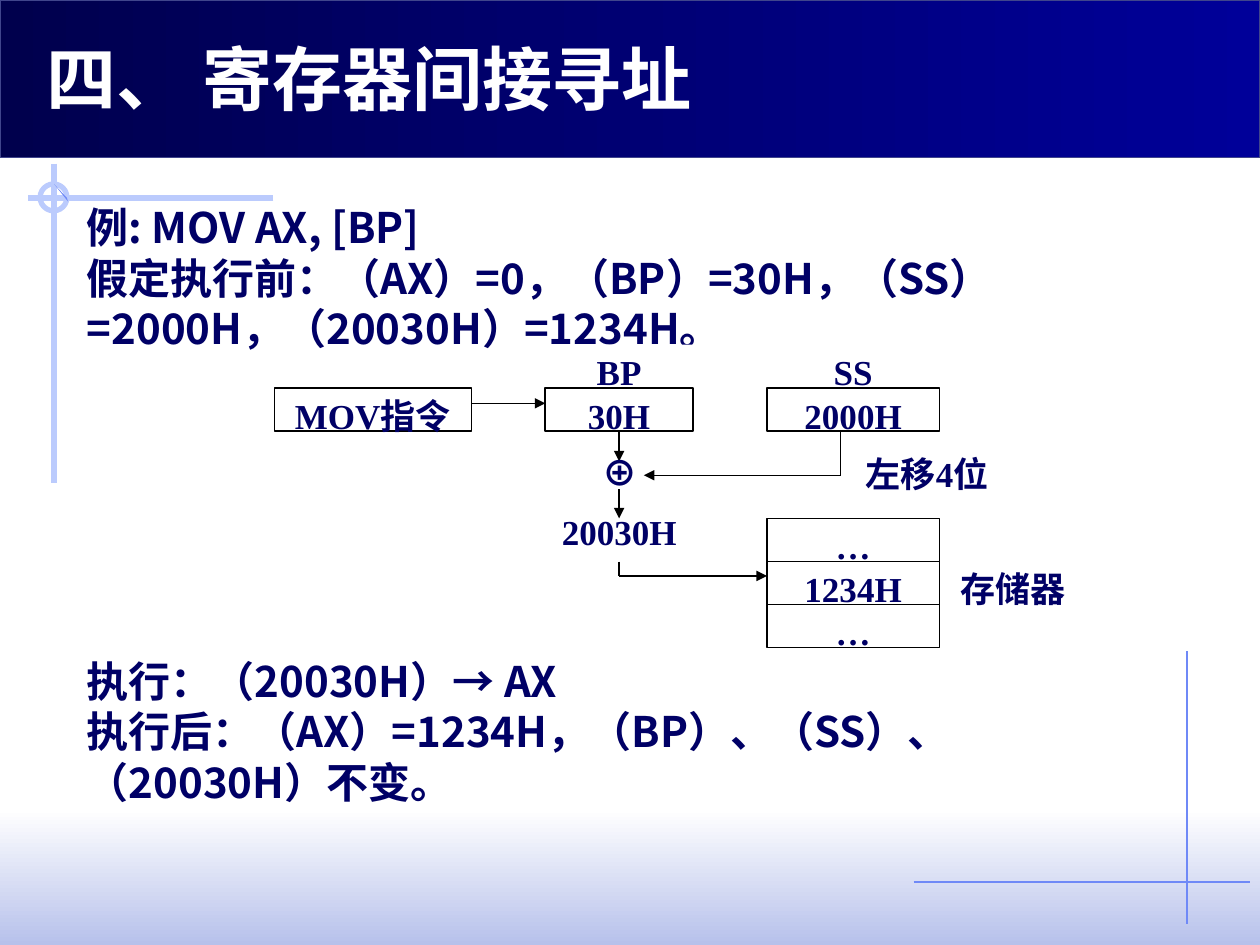
import pptx
import pptx.util
import pptx.dml.color
import pptx.enum.shapes
import pptx.enum.text
import pptx.oxml
import pptx.oxml.ns

Cm, Pt = pptx.util.Cm, pptx.util.Pt
SHAPE = pptx.enum.shapes.MSO_SHAPE
STRAIGHT = pptx.enum.shapes.MSO_CONNECTOR.STRAIGHT
ALIGN = pptx.enum.text.PP_ALIGN
ANCHOR = pptx.enum.text.MSO_ANCHOR
NOTO, TIMES = "Noto Sans CJK SC", "Times New Roman"
NAVY, WHITE, BLACK, PALE, BLUE = "000066", "FFFFFF", "000000", "BBCBFD", "6F89F7"
rgb = pptx.dml.color.RGBColor.from_string


def add_text(sp, text, size=20, font=TIMES, color=NAVY, align=ALIGN.CENTER,
             anchor=ANCHOR.TOP, wrap=True, gaps=()):
    """Write one paragraph per line; gaps maps a paragraph to its lines of space before."""
    tf = sp.text_frame
    tf.word_wrap = wrap
    tf.vertical_anchor = anchor
    for i, line in enumerate(text.split("\n")):
        p = tf.paragraphs[0] if i == 0 else tf.add_paragraph()
        p.alignment = align
        p.line_spacing = Pt(1.2 * size)
        if i in gaps:
            p.space_before = Pt(1.2 * size * gaps[i])
        r = p.add_run()
        r.text = line
        r.font.size, r.font.bold, r.font.name = Pt(size), True, font
        r.font.color.rgb = rgb(color)
        ea = pptx.oxml.parse_xml('<a:ea %s typeface="%s"/>' % (
            pptx.oxml.ns.nsdecls("a"), NOTO if font == TIMES else font))
        r.font._element.append(ea)


def add_line(x1, y1, x2, y2, color=BLACK, width=0.75, arrow=False):
    c = s.shapes.add_connector(STRAIGHT, Cm(x1), Cm(y1), Cm(x2), Cm(y2))
    c.line.color.rgb = rgb(color)
    c.line.width = Pt(width)
    ns = pptx.oxml.ns.nsdecls("a")
    if arrow:
        c.line._get_or_add_ln().append(
            pptx.oxml.parse_xml('<a:tailEnd %s type="triangle"/>' % ns))
    c._element.spPr.append(pptx.oxml.parse_xml("<a:effectLst %s/>" % ns))


prs = pptx.Presentation()
prs.slide_width, prs.slide_height = Cm(25.4), Cm(19.05)
s = prs.slides.add_slide(prs.slide_layouts[6])

# Gradient bands: bottom and title (angles run counter-clockwise)
for top, height, start, end, angle, edge in [
    (16.31, 2.74, WHITE, "B7C1EB", 270, None),
    (0, 3.18, "00004D", "000099", 0, "40458C"),
]:
    sp = s.shapes.add_shape(SHAPE.RECTANGLE, 0, Cm(top), prs.slide_width, Cm(height))
    sp.shadow.inherit = False
    sp.fill.gradient()
    sp.fill.gradient_angle = angle
    for stop, position, color in zip(sp.fill.gradient_stops, (0, 1), (start, end)):
        stop.position = position
        stop.color.rgb = rgb(color)
    if edge:
        sp.line.color.rgb = rgb(edge)
        sp.line.width = Pt(0.75)
    else:
        sp.line.fill.background()

# Corner crosses
add_line(23.93, 13.13, 23.93, 18.62, BLUE)
add_line(18.42, 17.78, 25.2, 17.78, BLUE)
add_line(5.51, 3.99, 0.56, 3.99, PALE, 3)
add_line(1.09, 3.3, 1.09, 9.73, PALE, 3)

# Ring on the upper cross, with its thin wedge
sp = s.shapes.add_shape(SHAPE.OVAL, Cm(0.81), Cm(3.71), Cm(0.54), Cm(0.54))
sp.shadow.inherit = False
sp.fill.background()
sp.line.color.rgb = rgb(PALE)
sp.line.width = Pt(3)
fb = s.shapes.build_freeform(Cm(1.09), Cm(3.71))
fb.add_line_segments([(Cm(1.35), Cm(3.99)), (Cm(1.37), Cm(4.06))])
sp = fb.convert_to_shape()
sp.shadow.inherit = False
sp.fill.solid()
sp.fill.fore_color.rgb = rgb(BLUE)
sp.line.fill.background()

# Body and title
sp = s.shapes.add_textbox(Cm(1.5), Cm(3.94), Cm(22.2), Cm(12.45))
add_text(sp, "例: MOV AX, [BP]\n"
             "假定执行前：（AX）=0，（BP）=30H，（SS）=2000H，（20030H）=1234H。\n"
             "执行：（20030H）→ AX\n"
             "执行后：（AX）=1234H，（BP）、（SS）、（20030H）不变。",
         size=24, font=NOTO, align=ALIGN.LEFT, gaps={2: 6})
sp = s.shapes.add_textbox(Cm(0.69), Cm(0.71), Cm(18.82), Cm(1.83))
add_text(sp, "四、 寄存器间接寻址", size=40, font="Noto Sans CJK JP", color=WHITE,
         align=ALIGN.LEFT, anchor=ANCHOR.BOTTOM)

# Diagram boxes: text, left, top, width, height, outlined
row = 0.87
reg_top, mem_top = 7.82, 10.45
bp_x, bp_w, ss_x, ss_w = 10.99, 2.98, 15.46, 3.48
boxes = [
    ("BP", bp_x, reg_top - row, bp_w, row, False),
    ("SS", ss_x, reg_top - row, ss_w, row, False),
    ("MOV指令", 5.53, reg_top, 3.97, row, True),
    ("30H", bp_x, reg_top, bp_w, row, True),
    ("2000H", ss_x, reg_top, ss_w, row, True),
    ("20030H", 10, 10.16, 4.97, 1.17, False),
    ("左移4位", 16.95, 9, ss_w, row, False),
    ("存储器", ss_x + ss_w, mem_top + row, bp_w, row, False),
]
boxes += [(text, ss_x, mem_top + i * row, ss_w, row, True)
          for i, text in enumerate(["…", "1234H", "…"])]
for text, x, y, w, h, outlined in boxes:
    sp = s.shapes.add_shape(SHAPE.RECTANGLE, Cm(x), Cm(y), Cm(w), Cm(h))
    sp.shadow.inherit = False
    sp.fill.solid()
    sp.fill.fore_color.rgb = rgb(WHITE)
    if outlined:
        sp.line.color.rgb = rgb(BLACK)
        sp.line.width = Pt(0.75)
    else:
        sp.line.fill.background()
    add_text(sp, text)

# Diagram lines and arrows
bp_mid, ss_mid = 12.48, 16.95
for x1, y1, x2, y2, arrow in [
    (9.5, 8.13, bp_x, 8.13, True),
    (ss_mid, 8.71, ss_mid, 9.58, False),
    (ss_mid, 9.58, 12.98, 9.58, True),
    (bp_mid, 8.71, bp_mid, 9.3, True),
    (bp_mid, 9.86, bp_mid, 10.45, True),
    (bp_mid, 11.32, bp_mid, 11.61, False),
    (bp_mid, 11.61, ss_x, 11.61, True),
]:
    add_line(x1, y1, x2, y2, arrow=arrow)

# Adder symbol
sp = s.shapes.add_textbox(Cm(11.89), Cm(8.97), Cm(1.07), Cm(1.12))
add_text(sp, "⊕", font=NOTO, align=ALIGN.LEFT, wrap=False)

prs.save("out.pptx")
